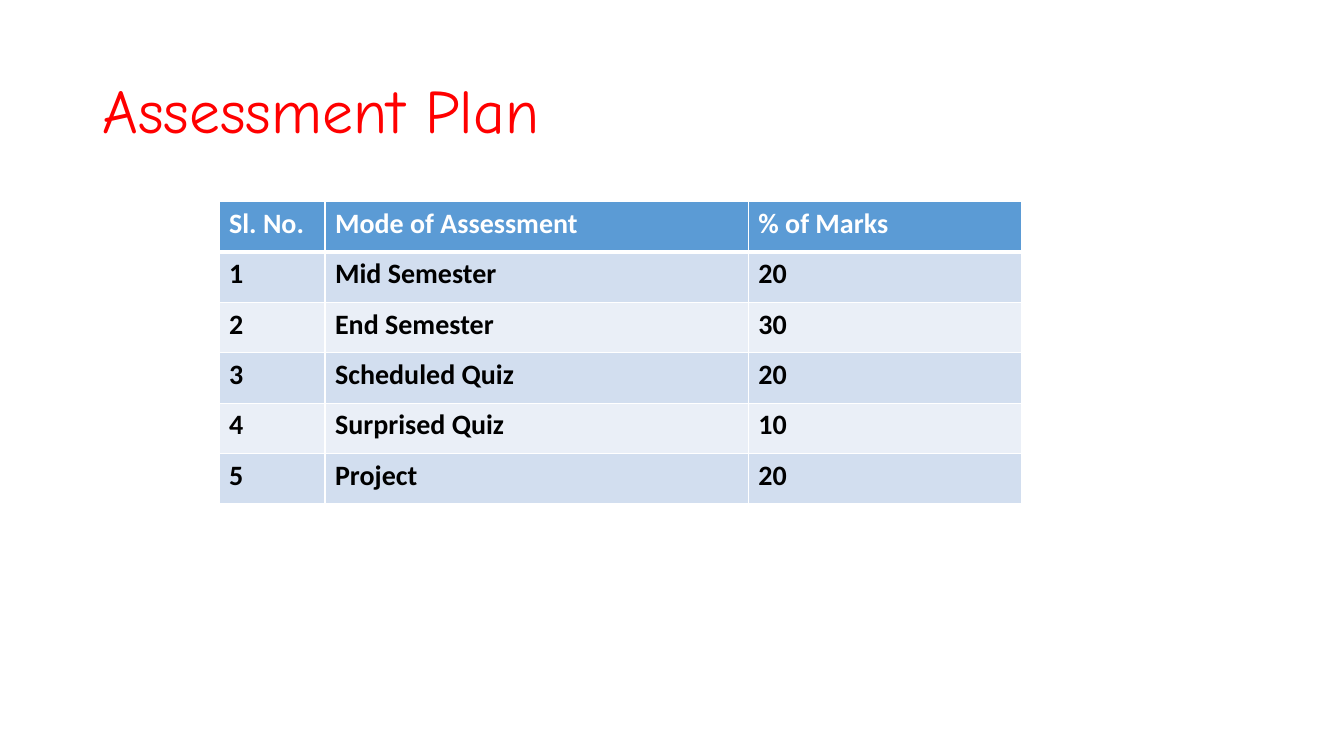
"""Builds the Assessment Plan slide with its table of marks."""
from lxml import etree
from pptx import Presentation
from pptx.dml.color import RGBColor
from pptx.enum import text
from pptx.oxml import ns
from pptx.util import Cm, Pt

COLOURS = {
    "title": "FF0000",
    "header": "5B9BD5",
    "odd": "D2DEEF",
    "even": "EAEFF7",
    "light": "FFFFFF",
    "dark": "000000",
}
COLUMN_WIDTHS = (2.67, 10.67, 6.88)
ROW_HEIGHT = 1.27
ASSESSMENTS = (
    ("Sl. No.", "Mode of Assessment", "% of Marks"),
    ("1", "Mid Semester", "20"),
    ("2", "End Semester", "30"),
    ("3", "Scheduled Quiz", "20"),
    ("4", "Surprised Quiz", "10"),
    ("5", "Project", "20"),
)


def colour(name):
    """Return the named colour."""
    return RGBColor.from_string(COLOURS[name])


def style(paragraph, face, size, tint, bold=False):
    """Set the font of a whole paragraph."""
    font = paragraph.font
    font.name, font.size, font.bold = face, Pt(size), bold
    font.color.rgb = colour(tint)


def add_border(cell, side, width):
    """Draw one white edge of a cell."""
    edge = etree.SubElement(cell._tc.get_or_add_tcPr(), ns.qn(f"a:ln{side}"), w=str(Pt(width)))
    paint = etree.SubElement(edge, ns.qn("a:solidFill"))
    etree.SubElement(paint, ns.qn("a:srgbClr"), val=COLOURS["light"])


def add_title(slide, wording):
    """Add the slide heading."""
    frame = slide.shapes.add_textbox(Cm(2.33), Cm(1.01), Cm(29.21), Cm(3.68)).text_frame
    frame.word_wrap = True
    frame.vertical_anchor = text.MSO_ANCHOR.MIDDLE
    heading = frame.paragraphs[0]
    heading.text = wording
    heading.line_spacing = 0.9
    style(heading, "Comic Neue", 44, "title")


def fill_cell(cell, wording, row):
    """Write and colour one cell according to its row."""
    cell.text = wording
    style(cell.text_frame.paragraphs[0], "Calibri", 20, "dark" if row else "light", True)
    widths = {"L": 1, "R": 1, "T": 3 if row == 1 else 1, "B": 1 if row else 3}
    for side, width in widths.items():
        add_border(cell, side, width)
    cell.fill.solid()
    cell.fill.fore_color.rgb = colour("header" if row == 0 else "odd" if row % 2 else "even")


def add_marks_table(slide, records):
    """Add the banded table of assessments."""
    marks = slide.shapes.add_table(
        len(records), len(COLUMN_WIDTHS), Cm(5.52), Cm(5.08),
        Cm(sum(COLUMN_WIDTHS)), Cm(ROW_HEIGHT * len(records))).table
    for column, width in zip(marks.columns, COLUMN_WIDTHS):
        column.width = Cm(width)
    for row, record in enumerate(records):
        for column, wording in enumerate(record):
            fill_cell(marks.cell(row, column), wording, row)


def main():
    """Build and save the slide."""
    deck = Presentation()
    deck.slide_width, deck.slide_height = Cm(33.87), Cm(19.05)
    slide = deck.slides.add_slide(deck.slide_layouts[6])
    add_title(slide, "Assessment Plan")
    add_marks_table(slide, ASSESSMENTS)
    deck.save("out.pptx")


main()
